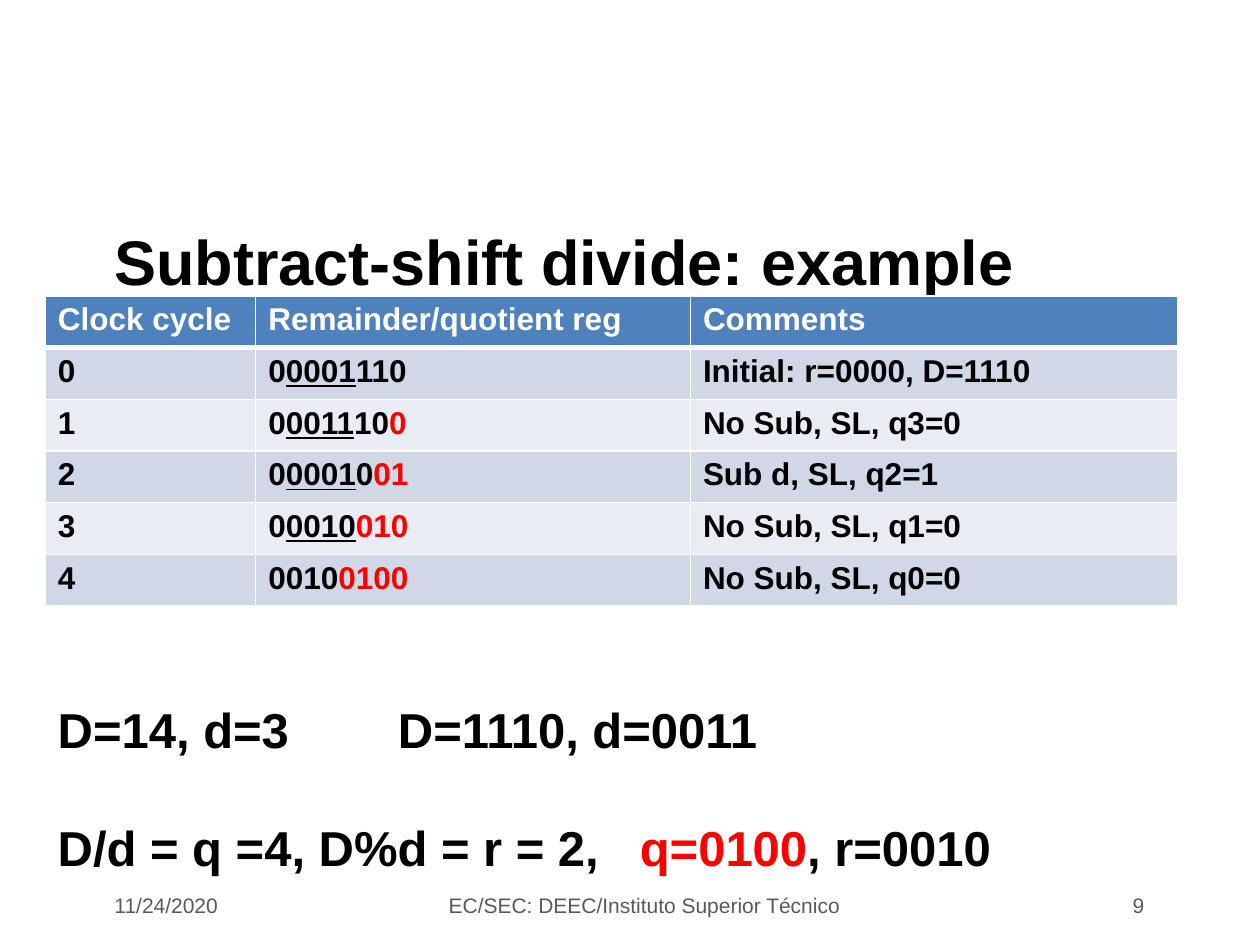
from lxml.etree import SubElement
from pptx import Presentation
from pptx.dml.color import RGBColor
from pptx.enum.text import MSO_ANCHOR, PP_ALIGN
from pptx.oxml.ns import qn
from pptx.util import Inches, Pt

THEME = {
    "font": "Arial",
    "text": "000000", "quotient": "FF0000", "footer": "595959", "light": "FFFFFF",
    "header": "4F81BD", "bands": ("D0D8E7", "E9ECF3"),
    "title_size": 36, "result_size": 28, "table_size": 18, "footer_size": 12,
    "rule": 0.96, "header_rule": 3,
}

TITLE = "Subtract-shift divide: example"
HEADINGS = ("Clock cycle", "Remainder/quotient reg", "Comments")
CYCLES = [
    ("0", [("0", ""), ("0001", "underline"), ("110", "")], "Initial: r=0000, D=1110"),
    ("1", [("0", ""), ("0011", "underline"), ("10", ""), ("0", "quotient")], "No Sub, SL, q3=0"),
    ("2", [("0", ""), ("0001", "underline"), ("0", ""), ("01", "quotient")], "Sub d, SL, q2=1"),
    ("3", [("0", ""), ("0010", "underline"), ("010", "quotient")], "No Sub, SL, q1=0"),
    ("4", [("0010", ""), ("0100", "quotient")], "No Sub, SL, q0=0"),
]
COLUMN_WIDTHS = (1.67, 3.45, 3.87)
ROW_HEIGHT = 0.41
RESULTS = [
    ("D=14, d=3\tD=1110, d=0011", 2.7),
    ([("D/d = q =4, D%d = r = 2,\t", ""), ("q=0100", "quotient"), (", r=0010", "")], 4.62),
]
RESULT_GAP = 34
FOOTERS = [
    ("11/24/2020", 0.81, 2.02, PP_ALIGN.LEFT),
    ("EC/SEC: DEEC/Instituto Superior Técnico", 3.42, 3.39, PP_ALIGN.CENTER),
    ("9", 7.18, 2, PP_ALIGN.RIGHT),
]


def write(paragraph, content, size, color="text", bold=True):
    """Fill a paragraph with plain text or with (text, mark) pieces."""
    font = paragraph.font
    font.name, font.size, font.bold = THEME["font"], Pt(size), bold
    font.color.rgb = RGBColor.from_string(THEME[color])
    pieces = [(content, "")] if isinstance(content, str) else content
    for text, mark in pieces:
        run = paragraph.add_run()
        run.text = text
        if mark == "underline":
            run.font.underline = True
        elif mark:
            run.font.color.rgb = RGBColor.from_string(THEME[mark])


def add_text_frame(slide, left, top, width, height, anchor=MSO_ANCHOR.MIDDLE):
    """Add a wrapping text box and return its frame."""
    frame = slide.shapes.add_textbox(
        Inches(left), Inches(top), Inches(width), Inches(height)).text_frame
    frame.word_wrap = True
    frame.vertical_anchor = anchor
    return frame


def add_tab(paragraph, position):
    """Set one left tab stop on a paragraph."""
    stops = SubElement(paragraph._p.get_or_add_pPr(), qn("a:tabLst"))
    SubElement(stops, qn("a:tab"), pos=str(Inches(position)), algn="l")


def style_cell(cell, row):
    """Give a cell its borders and its band fill."""
    widths = {"L": THEME["rule"], "R": THEME["rule"],
              "T": THEME["header_rule" if row == 1 else "rule"],
              "B": THEME["header_rule" if row == 0 else "rule"]}
    properties = cell._tc.get_or_add_tcPr()
    for side, width in widths.items():
        line = SubElement(properties, qn(f"a:ln{side}"), w=str(Pt(width)))
        SubElement(SubElement(line, qn("a:solidFill")), qn("a:srgbClr"), val=THEME["light"])
    cell.fill.solid()
    fill = THEME["bands"][(row - 1) % 2] if row else THEME["header"]
    cell.fill.fore_color.rgb = RGBColor.from_string(fill)


def add_cycle_table(slide):
    """Add the register contents for each clock cycle."""
    rows = [HEADINGS, *CYCLES]
    table = slide.shapes.add_table(
        len(rows), len(HEADINGS), Inches(0.36), Inches(2.35),
        Inches(sum(COLUMN_WIDTHS)), Inches(ROW_HEIGHT * len(rows))).table
    for column, width in zip(table.columns, COLUMN_WIDTHS):
        column.width = Inches(width)
    for row, contents in enumerate(rows):
        table.rows[row].height = Inches(ROW_HEIGHT)
        for column, content in enumerate(contents):
            cell = table.cell(row, column)
            style_cell(cell, row)
            write(cell.text_frame.paragraphs[0], content, THEME["table_size"],
                  "text" if row else "light")


def add_results(slide):
    """Add the operands and the resulting quotient and remainder."""
    frame = add_text_frame(slide, 0.36, 5.5, 7.68, 1.5, MSO_ANCHOR.TOP)
    for index, (content, tab) in enumerate(RESULTS):
        paragraph = frame.add_paragraph() if index else frame.paragraphs[0]
        if index:
            paragraph.space_before = Pt(RESULT_GAP)
        add_tab(paragraph, tab)
        write(paragraph, content, THEME["result_size"])


def main():
    """Build the division example slide."""
    deck = Presentation()
    deck.slide_width, deck.slide_height = Inches(10), Inches(7.5)
    slide = deck.slides.add_slide(deck.slide_layouts[6])
    title = add_text_frame(slide, 0.81, 1.59, 8.37, 0.95)
    write(title.paragraphs[0], TITLE, THEME["title_size"])
    add_cycle_table(slide)
    for text, left, width, alignment in FOOTERS:
        footer = add_text_frame(slide, left, 7.01, width, 0.34).paragraphs[0]
        footer.alignment = alignment
        write(footer, text, THEME["footer_size"], "footer", bold=False)
    add_results(slide)
    deck.save("out.pptx")


if __name__ == "__main__":
    main()
